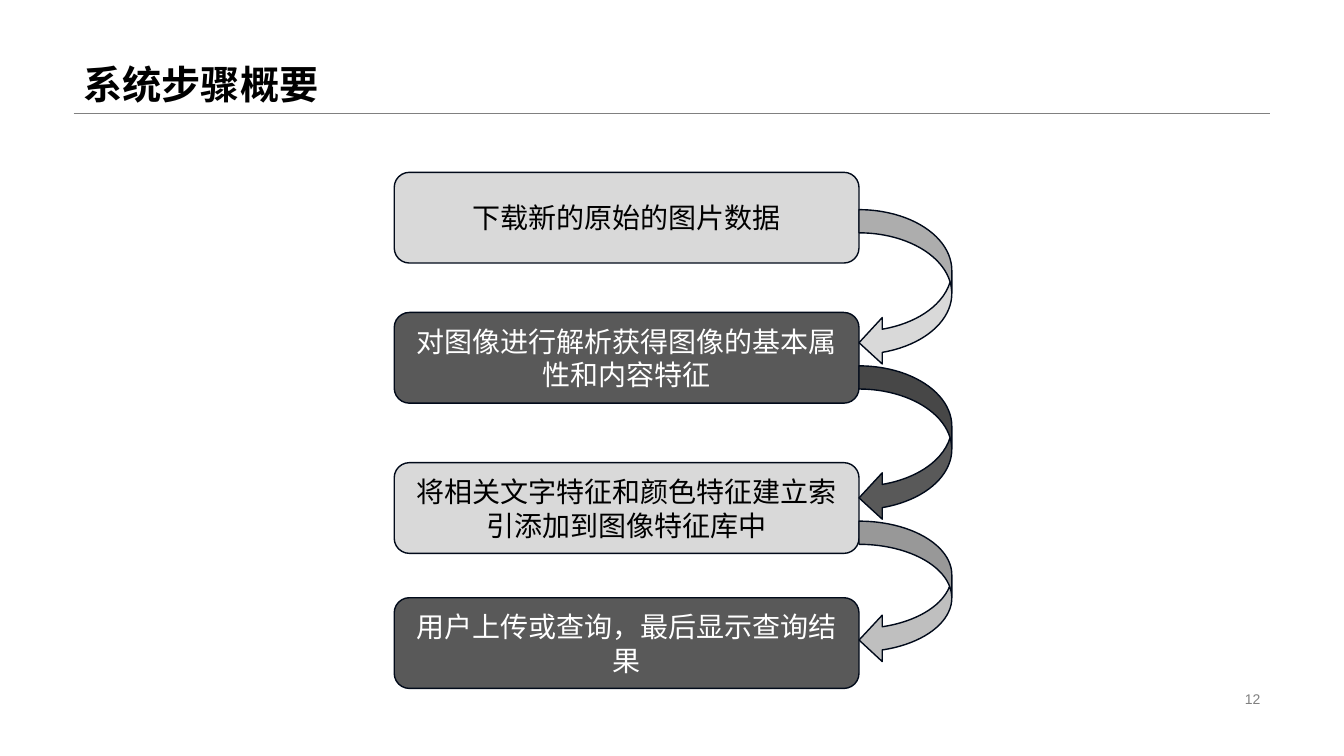
import pptx
import pptx.util
import pptx.dml.color
import pptx.enum.shapes
import pptx.enum.text
import pptx.oxml
import pptx.oxml.ns
from dataclasses import dataclass

Inches = pptx.util.Inches
Pt = pptx.util.Pt
SHAPE = pptx.enum.shapes.MSO_SHAPE
ANCHOR = pptx.enum.text.MSO_ANCHOR
ALIGN = pptx.enum.text.PP_ALIGN

# Content
TITLE = "系统步骤概要"
PAGE_NUMBER = "12"
STEPS = [  # text, top, fill, text colour
    ("下载新的原始的图片数据", 1.71, "light", "black"),
    ("对图像进行解析获得图像的基本属性和内容特征", 3.1, "dark", "white"),
    ("将相关文字特征和颜色特征建立索引添加到图像特征库中", 4.59, "light", "black"),
    ("用户上传或查询，最后显示查询结果", 5.93, "dark", "white"),
]
ARROWS = [(1.55, "light"), (1.54, "dark"), (1.41, "middle")]  # height, fill


@dataclass(frozen=True)
class Theme:
    black: str = "000000"
    white: str = "FFFFFF"
    light: str = "D9D9D9"
    middle: str = "BFBFBF"
    dark: str = "595959"
    muted: str = "808080"
    outline: str = "010A1A"
    latin: str = "Arial"
    chinese: str = "Noto Sans CJK SC"
    title_size: int = 28
    step_size: int = 20
    number_size: int = 10


theme = Theme()

# Layout in inches
MARGIN_LEFT, MARGIN_RIGHT, RULE_TOP = 0.73, 12.6, 1.12
STEP_LEFT, STEP_WIDTH, STEP_HEIGHT = 3.91, 4.61, 0.9
ARROW_LEFT, ARROW_TOP, ARROW_WIDTH = STEP_LEFT + STEP_WIDTH, 2.08, 0.92


def rgb(value):
    return pptx.dml.color.RGBColor.from_string(value)


def write_text(shape, text, *, size, color, font=theme.latin, bold=False,
               align=ALIGN.LEFT, anchor=ANCHOR.MIDDLE, line_spacing=None):
    frame = shape.text_frame
    frame.word_wrap = True
    frame.vertical_anchor = anchor
    paragraph = frame.paragraphs[0]
    paragraph.alignment = align
    paragraph.line_spacing = line_spacing
    run = paragraph.add_run()
    run.text = text
    run.font.name = font
    run.font.size = Pt(size)
    run.font.bold = bold
    run.font.color.rgb = rgb(color)
    east_asian = pptx.oxml.parse_xml(
        f'<a:ea {pptx.oxml.ns.nsdecls("a")} typeface="{theme.chinese}"/>')
    run.font._element.append(east_asian)


def add_text(slide, box, text, **text_format):
    shape = slide.shapes.add_textbox(*map(Inches, box))
    write_text(shape, text, **text_format)


def add_block(slide, kind, box, fill):
    shape = slide.shapes.add_shape(kind, *map(Inches, box))
    shape.shadow.inherit = False
    shape.fill.solid()
    shape.fill.fore_color.rgb = rgb(fill)
    shape.line.color.rgb = rgb(theme.outline)
    shape.line.width = Pt(1)
    return shape


def add_rule(slide):
    rule = slide.shapes.add_connector(
        pptx.enum.shapes.MSO_CONNECTOR.STRAIGHT, Inches(MARGIN_LEFT),
        Inches(RULE_TOP), Inches(MARGIN_RIGHT), Inches(RULE_TOP))
    rule.line.color.rgb = rgb(theme.muted)
    rule.line.width = Pt(0.25)
    rule._element.spPr.append(
        pptx.oxml.parse_xml(f'<a:effectLst {pptx.oxml.ns.nsdecls("a")}/>'))


def main():
    presentation = pptx.Presentation()
    presentation.slide_width = Inches(13.33)
    presentation.slide_height = Inches(7.5)
    slide = presentation.slides.add_slide(presentation.slide_layouts[6])

    # Heading and page number
    add_rule(slide)
    add_text(slide, (MARGIN_LEFT, 0, MARGIN_RIGHT - MARGIN_LEFT, RULE_TOP), TITLE,
             size=theme.title_size, color=theme.black, bold=True,
             anchor=ANCHOR.BOTTOM, line_spacing=0.9)
    add_text(slide, (9.42, 6.82, 3.18, 0.23), PAGE_NUMBER,
             size=theme.number_size, color=theme.muted, align=ALIGN.RIGHT)

    # Steps
    for text, top, fill, color in STEPS:
        step = add_block(slide, SHAPE.FLOWCHART_ALTERNATE_PROCESS,
                         (STEP_LEFT, top, STEP_WIDTH, STEP_HEIGHT),
                         getattr(theme, fill))
        write_text(step, text, size=theme.step_size, color=getattr(theme, color),
                   font=theme.chinese, align=ALIGN.CENTER)

    # Curved arrows, each starting where the one above ends
    top = ARROW_TOP
    for height, fill in ARROWS:
        add_block(slide, SHAPE.CURVED_LEFT_ARROW,
                  (ARROW_LEFT, top, ARROW_WIDTH, height), getattr(theme, fill))
        top += height

    presentation.save("out.pptx")


if __name__ == "__main__":
    main()
